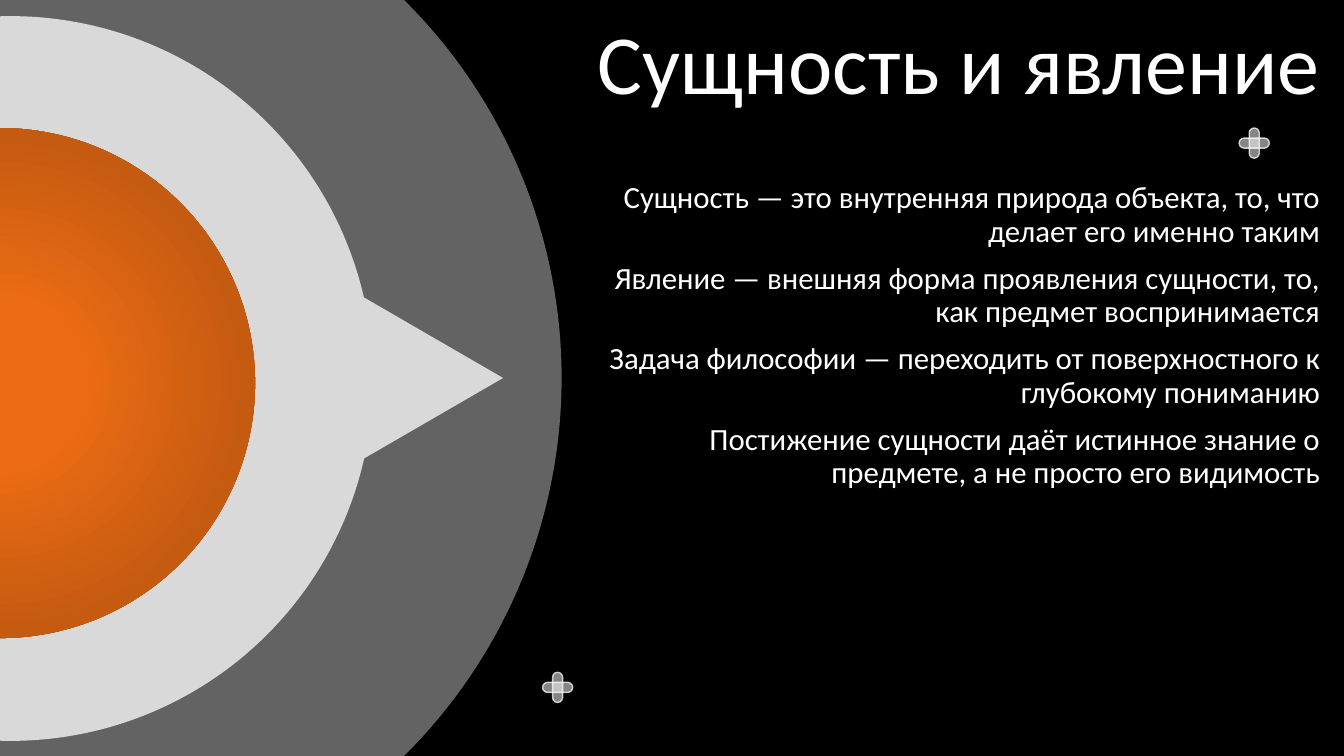
"""Build the slide on essence and appearance: nested circles on the left, text on the right."""
from lxml import etree
from pptx import Presentation
from pptx.dml.color import RGBColor
from pptx.enum.shapes import MSO_SHAPE as Shape
from pptx.enum.text import MSO_ANCHOR as Anchor, PP_ALIGN as Align
from pptx.oxml import parse_xml
from pptx.oxml.ns import nsdecls, qn
from pptx.util import Inches, Pt

TITLE = "Сущность и явление"
THESES = [
    "Сущность — это внутренняя природа объекта, то, что делает его именно таким",
    "Явление — внешняя форма проявления сущности, то, как предмет воспринимается",
    "Задача философии — переходить от поверхностного к глубокому пониманию",
    "Постижение сущности даёт истинное знание о предмете, а не просто его видимость",
]
COLORS = {"night": "000000", "white": "FFFFFF", "silver": "D9D9D9"}
CORE_STOPS = [(0, "EA6B14"), (23, "EA6B14"), (69, "C55A11"), (97, "B85410")]
FONT = "Calibri"

WIDTH, HEIGHT = Inches(13.33), Inches(7.5)
COL, ROW = WIDTH / 100, HEIGHT / 100

TITLE_BOX = (32.63, 1.2, 66.32, 14.4)
THESES_BOX = (42.61, 23.47, 56.34, 44.8)
HALO = {"center": (2.18, 50), "size": (140.8, 140.8)}
RING = {"center": (0.79, 50.07), "size": (95.87, 95.87)}
POINTER = {"center": (31.73, 50), "size": (23.47, 20.27)}
CORE = {"center": (0, 50.67), "size": (67.47, 67.47)}
SPARK_CENTERS = [(41.49, 90.93), (93.32, 18.93)]
SPARK_ARM = (1.33, 4)


def add_text(slide, paragraphs, box, *, size, anchor=Anchor.TOP, gap=0):
    """Place right-aligned white paragraphs in a box given in columns and rows."""
    left, top, width, height = box
    frame = slide.shapes.add_textbox(
        int(left * COL), int(top * ROW), int(width * COL), int(height * ROW)
    ).text_frame
    frame.word_wrap = True
    frame.vertical_anchor = anchor
    for index, text in enumerate(paragraphs):
        paragraph = frame.paragraphs[0] if index == 0 else frame.add_paragraph()
        paragraph.alignment = Align.RIGHT
        paragraph.line_spacing = 0.9
        paragraph.space_before = Pt(gap if index else 0)
        run = paragraph.add_run()
        run.text = text
        run.font.name = FONT
        run.font.size = Pt(size)
        run.font.color.rgb = RGBColor.from_string(COLORS["white"])


def paint(fill, color, opacity):
    """Give a fill a solid colour with an opacity in percent."""
    fill.solid()
    fill.fore_color.rgb = RGBColor.from_string(color)
    if opacity < 100:
        for tint in fill._xPr.iter(qn("a:srgbClr")):
            etree.SubElement(tint, qn("a:alpha")).set("val", str(opacity * 1000))


def add_figure(slide, kind, center, size, *, color="silver", opacity=100, rotation=0):
    """Add an unlined preset shape around a centre, its size counted in rows."""
    width, height = (side * ROW for side in size)
    figure = slide.shapes.add_shape(
        kind, int(center[0] * COL - width / 2), int(center[1] * ROW - height / 2),
        int(width), int(height),
    )
    figure.shadow.inherit = False
    figure.rotation = rotation
    paint(figure.fill, COLORS[color], opacity)
    figure.line.fill.background()
    return figure


def add_spark(slide, center):
    """Cross two translucent pills."""
    for rotation in (0, 90):
        arm = add_figure(slide, Shape.ROUNDED_RECTANGLE, center, SPARK_ARM,
                         color="white", opacity=52, rotation=rotation)
        arm.adjustments[0] = 0.5
        arm.line.width = Pt(1)
        paint(arm.line.fill, COLORS["white"], 74)


def glow(figure, stops):
    """Replace a solid fill by a radial gradient."""
    marks = "".join(
        f'<a:gs pos="{share * 1000}"><a:srgbClr val="{color}"/></a:gs>'
        for share, color in stops
    )
    gradient = parse_xml(
        f'<a:gradFill {nsdecls("a")} rotWithShape="1"><a:gsLst>{marks}</a:gsLst>'
        '<a:path path="circle"><a:fillToRect l="50000" t="50000" r="50000" b="50000"/>'
        "</a:path></a:gradFill>"
    )
    properties = figure._element.spPr
    properties.replace(properties.find(qn("a:solidFill")), gradient)


def main():
    """Compose and save the slide."""
    deck = Presentation()
    deck.slide_width, deck.slide_height = WIDTH, HEIGHT
    slide = deck.slides.add_slide(deck.slide_layouts[6])
    paint(slide.background.fill, COLORS["night"], 100)

    add_text(slide, [TITLE], TITLE_BOX, size=60, anchor=Anchor.BOTTOM)
    add_text(slide, THESES, THESES_BOX, size=22, gap=10)

    add_figure(slide, Shape.OVAL, **HALO, opacity=46)
    for center in SPARK_CENTERS:
        add_spark(slide, center)
    add_figure(slide, Shape.OVAL, **RING)
    add_figure(slide, Shape.ISOSCELES_TRIANGLE, **POINTER, rotation=90)
    glow(add_figure(slide, Shape.OVAL, **CORE), CORE_STOPS)

    deck.save("out.pptx")


if __name__ == "__main__":
    main()
